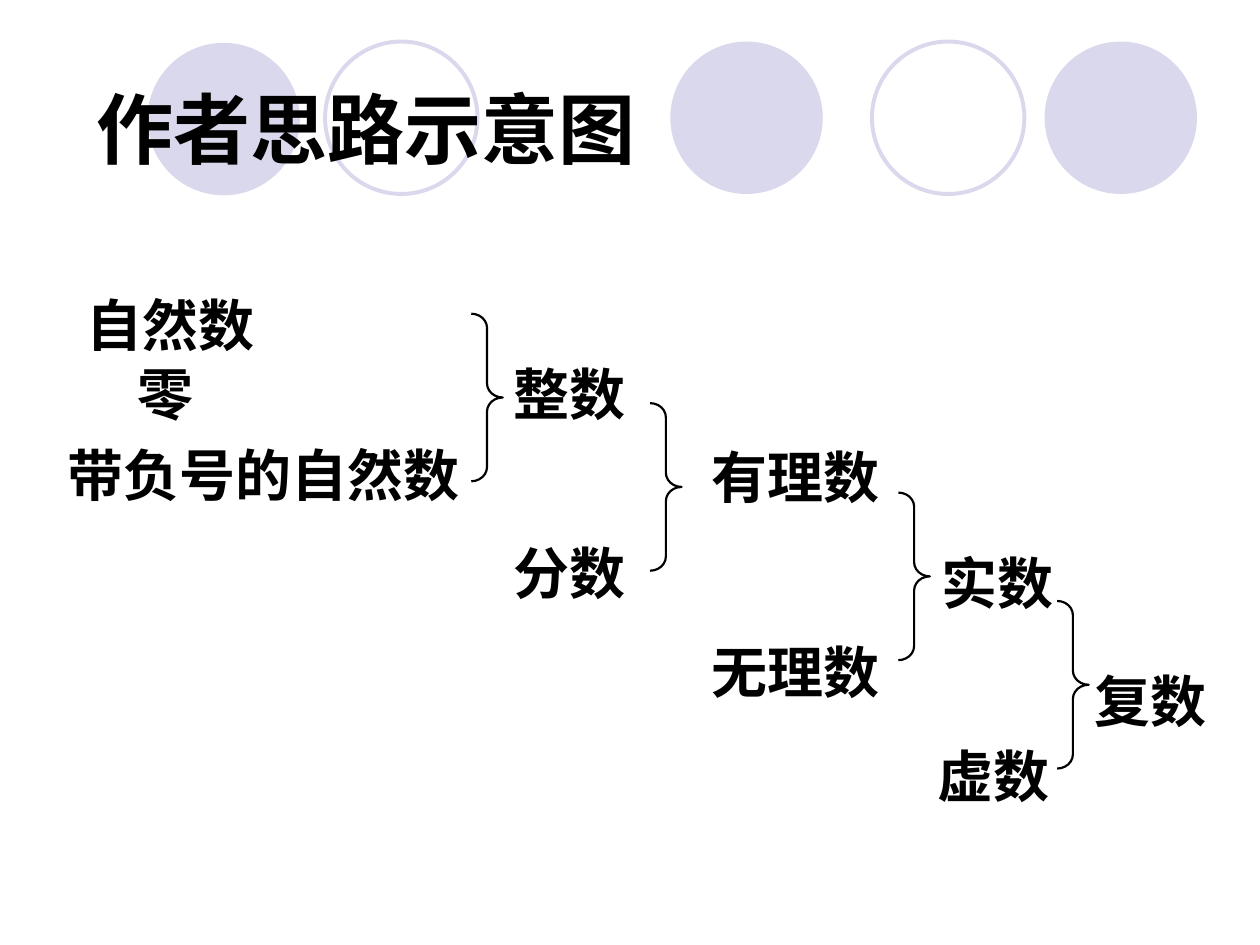
from pptx import Presentation
from pptx.dml.color import RGBColor
from pptx.enum.shapes import MSO_SHAPE
from pptx.enum.text import MSO_ANCHOR
from pptx.oxml.ns import qn
from pptx.util import Inches, Pt

OVAL = MSO_SHAPE.OVAL
BRACE = MSO_SHAPE.RIGHT_BRACE
MIDDLE = MSO_ANCHOR.MIDDLE
BLACK = RGBColor(0x00, 0x00, 0x00)
LAVENDER = RGBColor(0xD9, 0xD8, 0xEC)
CJK_FONT = "Noto Sans CJK SC"
LABEL_SIZE = 32


def add_text(text, left, top, width, height, size, font):
    """Add one bold line, centred vertically, and return its paragraph."""
    box = s.shapes.add_textbox(Inches(left), Inches(top), Inches(width), Inches(height))
    tf = box.text_frame
    tf.word_wrap = True
    tf.vertical_anchor = MIDDLE
    tf.margin_top = tf.margin_bottom = 0
    p = tf.paragraphs[0]
    r = p.add_run()
    r.text = text
    for name, value in {"name": font, "size": Pt(size), "bold": True}.items():
        setattr(r.font, name, value)
    r.font.color.rgb = BLACK
    east_asian = r._r.get_or_add_rPr().makeelement(qn("a:ea"), {"typeface": CJK_FONT})
    r.font._element.find(qn("a:latin")).addnext(east_asian)
    return p


prs = Presentation()
prs.slide_width = Inches(10)
prs.slide_height = Inches(7.5)
s = prs.slides.add_slide(prs.slide_layouts[6])

# Decorative circles: left, top, filled
circles = [
    (5.32, 0.33, True),
    (8.29, 0.33, True),
    (1.17, 0.34, True),
    (6.92, 0.33, False),
    (2.58, 0.33, False),
]
for left, top, filled in circles:
    circle = s.shapes.add_shape(OVAL, Inches(left), Inches(top), Inches(1.21), Inches(1.21))
    circle.shadow.inherit = False
    if filled:
        circle.fill.solid()
        circle.fill.fore_color.rgb = LAVENDER
        circle.line.fill.background()
    else:
        circle.fill.background()
        circle.line.color.rgb = LAVENDER
        circle.line.width = Pt(2.25)

add_text("作者思路示意图", 0.67, 0.68, 5, 0.67, 44, "Times New Roman")

# Number sets: text, left, top, height, line spacing
labels = [
    ("自然数", 0.59, 2.25, 0.64, 1.0),
    ("零", 0.99, 2.8, 0.64, 1.0),
    ("带负号的自然数", 0.44, 3.44, 0.64, 1.0),
    ("整数", 3.98, 2.8, 0.64, 1.0),
    ("分数", 3.98, 4.22, 0.64, 1.0),
    ("有理数", 5.55, 3.52, 0.58, 0.9),
    ("无理数", 5.55, 5.01, 0.64, 1.0),
    ("实数", 7.37, 4.3, 0.64, 1.0),
    ("虚数", 7.34, 5.83, 0.64, 1.0),
    ("复数", 8.59, 5.24, 0.64, 1.0),
]
for text, left, top, height, spacing in labels:
    # One em per character, the side insets and a little slack
    width = len(text) * LABEL_SIZE / 72 + 0.25
    p = add_text(text, left, top, width, height, LABEL_SIZE, CJK_FONT)
    p.line_spacing = spacing

# Braces joining each pair of sets into the next one
for left, top in [(3.74, 2.49), (5.16, 3.2), (7.13, 3.91), (8.39, 4.77)]:
    brace = s.shapes.add_shape(BRACE, Inches(left), Inches(top), Inches(0.25), Inches(1.33))
    brace.shadow.inherit = False
    brace.adjustments[0] = 0.45
    brace.fill.background()
    brace.line.color.rgb = BLACK
    brace.line.width = Pt(1.25)

prs.save("out.pptx")
